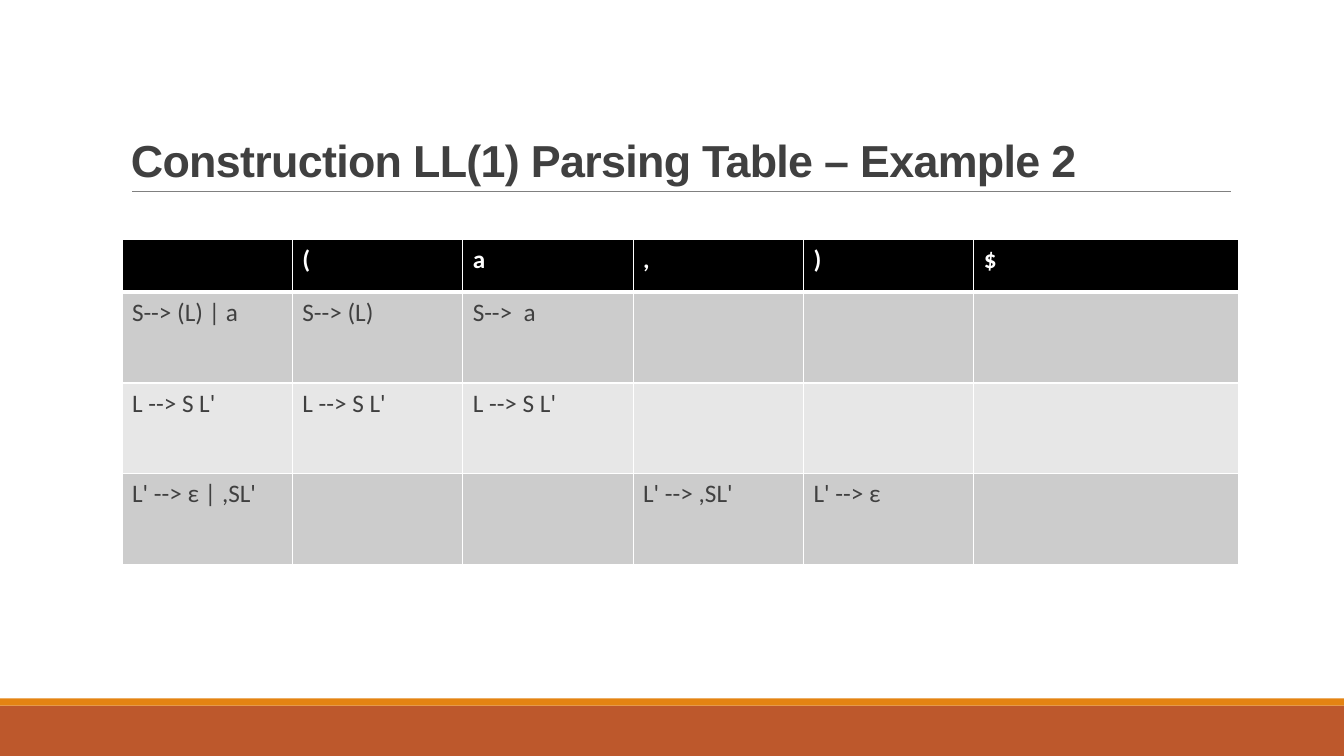
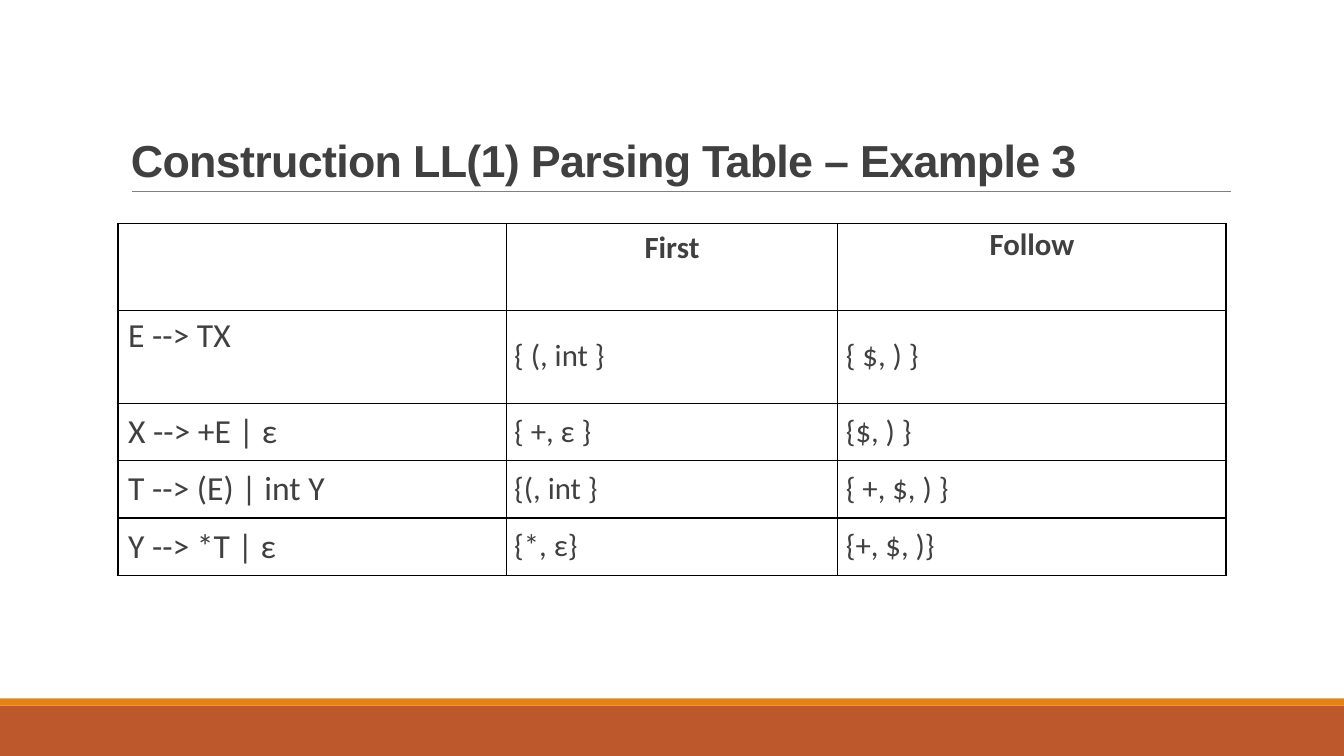
from lxml.etree import SubElement
from pptx import Presentation
from pptx.dml.color import RGBColor
from pptx.enum.shapes import MSO_CONNECTOR, MSO_SHAPE
from pptx.enum.text import MSO_ANCHOR, PP_ALIGN
from pptx.oxml import parse_xml
from pptx.oxml.ns import nsdecls, qn
from pptx.util import Inches, Pt

# Theme: colours, fonts and type sizes
theme = {
    "rust": "BD582C", "amber": "E48312", "rule": "808080", "ink": "404040",
    "white": "FFFFFF", "black": "000000", "dark": "CCCCCC", "pale": "E7E7E7",
    "head": "Arial", "body": "Calibri",
    "title": 32, "small": 18, "set": 22, "large": 24,
}


def color(name):
    return RGBColor.from_string(theme[name])


def write(frame, text, size, ink="ink", face="body", bold=False, space=1.0):
    """Put one styled run into a text frame and return its paragraph."""
    para = frame.paragraphs[0]
    para.line_spacing = space
    run = para.add_run()
    run.text = text
    look = {"name": theme[face], "size": Pt(theme[size]), "bold": bold}
    for key, value in look.items():
        setattr(run.font, key, value)
    run.font.color.rgb = color(ink)
    return para


# Content: one entry per slide
decks = [
    {
        "title": "Construction LL(1) Parsing Table – Example 2",
        "at": (1.21, 2.38), "cols": [1.69] * 5 + [2.63],
        "rows": [0.52] + [0.9] * 3, "line": "white", "thick": 3,
        "fills": ["black", "dark", "pale", "dark"],
        "cells": [
            ["", "(", "a", ",", ")", "$"],
            ["S--> (L) | a", "S--> (L)", "S-->  a", "", "", ""],
            ["L --> S L'", "L --> S L'", "L --> S L'", "", "", ""],
            ["L' --> ε | ,SL'", "", "", "L' --> ,SL'", "L' --> ε", ""],
        ],
    },
    {
        "title": "Construction LL(1) Parsing Table – Example 3",
        "at": (1.17, 2.22), "cols": [3.85, 3.29, 3.85],
        "rows": [0.86, 0.92] + [0.57] * 3, "line": "black", "thick": 1,
        "fills": None,
        "cells": [
            ["", "First", "Follow"],
            ["E --> TX", "{ (, int }", "{ $, ) }"],
            ["X --> +E | ε", "{ +, ε }", "{$, ) }"],
            ["T --> (E) | int Y", "{(, int }", "{ +, $, ) }"],
            ["Y --> *T | ε", "{*, ε}", "{+, $, )}"],
        ],
    },
]

prs = Presentation()
prs.slide_width, prs.slide_height = Inches(13.33), Inches(7.5)

for deck in decks:
    slide = prs.slides.add_slide(prs.slide_layouts[6])
    shapes = slide.shapes

    # Footer bands
    for top, high, name in [(7, 0.5, "rust"), (6.93, 0.07, "amber")]:
        band = shapes.add_shape(MSO_SHAPE.RECTANGLE, 0, Inches(top),
                                prs.slide_width, Inches(high))
        band.shadow.inherit = False
        band.fill.solid()
        band.fill.fore_color.rgb = color(name)
        band.line.fill.background()

    # Title and the rule below it
    rule = shapes.add_connector(MSO_CONNECTOR.STRAIGHT, Inches(1.31),
                                Inches(1.9), Inches(12.21), Inches(1.9))
    rule.line.color.rgb = color("rule")
    rule.line.width = Pt(0.5)
    SubElement(rule._element.spPr, qn("a:effectLst"))

    box = shapes.add_textbox(Inches(1.2), Inches(0.31), Inches(11), Inches(1.59))
    frame = box.text_frame
    frame.word_wrap = True
    frame.vertical_anchor = MSO_ANCHOR.BOTTOM
    para = write(frame, deck["title"], "title", face="head", bold=True, space=0.85)
    para.runs[0].font._element.set("spc", "-50")

    # Table grid
    cols, rows = deck["cols"], deck["rows"]
    left, top = deck["at"]
    table = shapes.add_table(len(rows), len(cols), Inches(left), Inches(top),
                             Inches(sum(cols)), Inches(sum(rows))).table
    table.first_row = table.horz_banding = False
    for col, wide in zip(table.columns, cols):
        col.width = Inches(wide)
    for row, high in zip(table.rows, rows):
        row.height = Inches(high)

    # Table cells
    for r, texts in enumerate(deck["cells"]):
        for c, text in enumerate(texts):
            cell = table.cell(r, c)
            fills = deck["fills"]
            if fills:
                cell.fill.solid()
                cell.fill.fore_color.rgb = color(fills[r])
                if text:
                    write(cell.text_frame, text, "small",
                          ink="ink" if r else "white", bold=r == 0)
            else:
                cell.fill.background()
                if c and r:
                    cell.vertical_anchor = MSO_ANCHOR.MIDDLE
                    cell.margin_left = cell.margin_right = Inches(0.08)
                    write(cell.text_frame, text, "set", space=0.9)
                elif c:
                    cell.margin_top = Inches(0.08 if c == 1 else 0.05)
                    para = write(cell.text_frame, text, "set", bold=True, space=0.9)
                    para.alignment = PP_ALIGN.CENTER
                elif r:
                    cell.vertical_anchor = MSO_ANCHOR.TOP if r == 1 else MSO_ANCHOR.MIDDLE
                    write(cell.text_frame, text, "large")

            # Borders: the line under the header may be thicker
            props = cell._tc.get_or_add_tcPr()
            for i, side in enumerate("LRTB"):
                head = (r, side) in [(0, "B"), (1, "T")]
                width = Pt(deck["thick"] if head else 1)
                props.insert(i, parse_xml(
                    f'<a:ln{side} {nsdecls("a")} w="{width}"><a:solidFill>'
                    f'<a:srgbClr val="{theme[deck["line"]]}"/>'
                    f'</a:solidFill></a:ln{side}>'))

prs.save("out.pptx")
